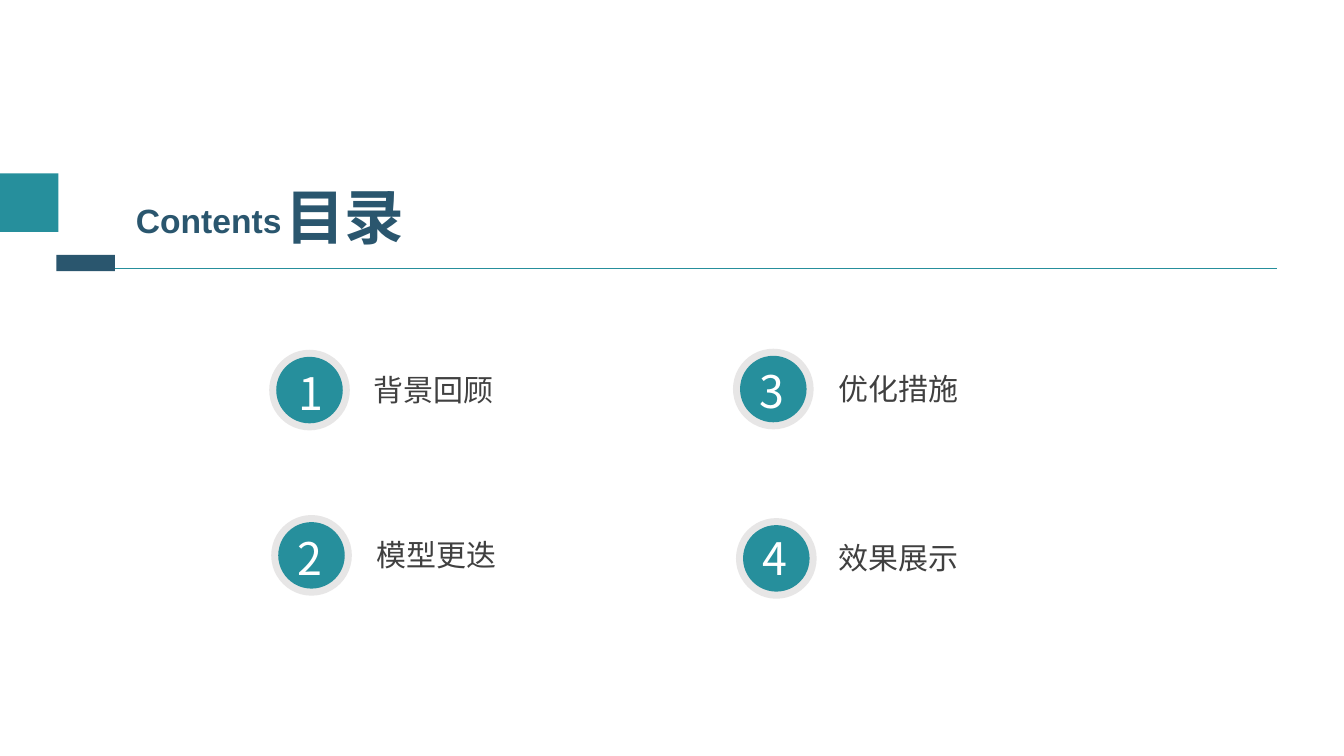
from lxml import etree
from pptx import Presentation
from pptx.dml.color import RGBColor
from pptx.enum.shapes import MSO_CONNECTOR, MSO_SHAPE
from pptx.enum.text import MSO_ANCHOR
from pptx.oxml.ns import qn
from pptx.util import Inches, Pt

STRAIGHT = MSO_CONNECTOR.STRAIGHT
RECTANGLE, OVAL = MSO_SHAPE.RECTANGLE, MSO_SHAPE.OVAL
MIDDLE = MSO_ANCHOR.MIDDLE

TEAL, NAVY, GREY = "268F9C", "2A566E", "E7E6E6"
CJK = "Noto Sans CJK SC"
TITLE = {"name": CJK, "size": Pt(42.6), "bold": True}
SUBTITLE = {"name": "Arial", "size": Pt(24), "bold": True}
NUMBER = {"name": CJK, "size": Pt(32)}
LABEL = {"name": CJK, "size": Pt(21.4)}

RING, DISC = 0.8, 0.66
# ring left, ring top, number offset x, number offset y, label offset x, label width, label
ENTRIES = [
    (2.67, 3.47, 0.19, 0.10, 0.94, 4.96, "背景回顾"),
    (2.69, 5.11, 0.16, 0.10, 0.95, 2.66, "模型更迭"),
    (7.27, 3.46, 0.16, 0.10, 0.95, 3.2, "优化措施"),
    (7.30, 5.14, 0.16, 0.07, 0.92, 3.2, "效果展示"),
]


def color(value):
    return RGBColor.from_string(value)


def add_block(page, kind, box, fill):
    """Add a flat filled shape without outline."""
    block = page.shapes.add_shape(kind, *map(Inches, box))
    block.shadow.inherit = False
    block.fill.solid()
    block.fill.fore_color.rgb = color(fill)
    block.line.fill.background()


def add_text(page, box, text, style, ink):
    frame = page.shapes.add_textbox(*map(Inches, box)).text_frame
    frame.word_wrap = True
    frame.vertical_anchor = MIDDLE
    span = frame.paragraphs[0].add_run()
    span.text = text
    span.font.color.rgb = color(ink)
    for name, value in style.items():
        setattr(span.font, name, value)
    east_asian = etree.SubElement(span.font._element, qn("a:ea"))
    east_asian.set("typeface", style["name"])


def add_header(page, left, top, right):
    rule_top = top + 0.94
    ends = (left + 0.59, rule_top, right, rule_top)
    rule = page.shapes.add_connector(STRAIGHT, *map(Inches, ends))
    rule.line.color.rgb = color(TEAL)
    rule.line.width = Pt(0.75)
    etree.SubElement(rule._element.spPr, qn("a:effectLst"))
    add_text(page, (left + 2.73, top + 0.01, 1.71, 0.82), "目录", TITLE, NAVY)
    add_text(page, (left + 1.25, top + 0.21, 2.06, 0.5), "Contents", SUBTITLE, NAVY)
    add_block(page, RECTANGLE, (left, top, 0.58, 0.58), TEAL)
    add_block(page, RECTANGLE, (left + 0.56, top + 0.81, 0.58, 0.16), NAVY)


def add_entry(page, number, entry):
    """Add a numbered badge with its label."""
    left, top, number_x, number_y, label_x, label_width, label = entry
    inset = (RING - DISC) / 2
    add_block(page, OVAL, (left, top, RING, RING), GREY)
    add_block(page, OVAL, (left + inset, top + inset, DISC, DISC), TEAL)
    add_text(page, (left + number_x, top + number_y, 0.48, 0.64), str(number), NUMBER, "FFFFFF")
    add_text(page, (left + label_x, top + 0.16, label_width, 0.46), label, LABEL, "404040")


def main():
    deck = Presentation()
    deck.slide_width, deck.slide_height = Inches(13.33), Inches(7.5)
    page = deck.slides.add_slide(deck.slide_layouts[6])
    add_header(page, 0, 1.72, 12.67)
    for number, entry in enumerate(ENTRIES, 1):
        add_entry(page, number, entry)
    deck.save("out.pptx")


if __name__ == "__main__":
    main()
